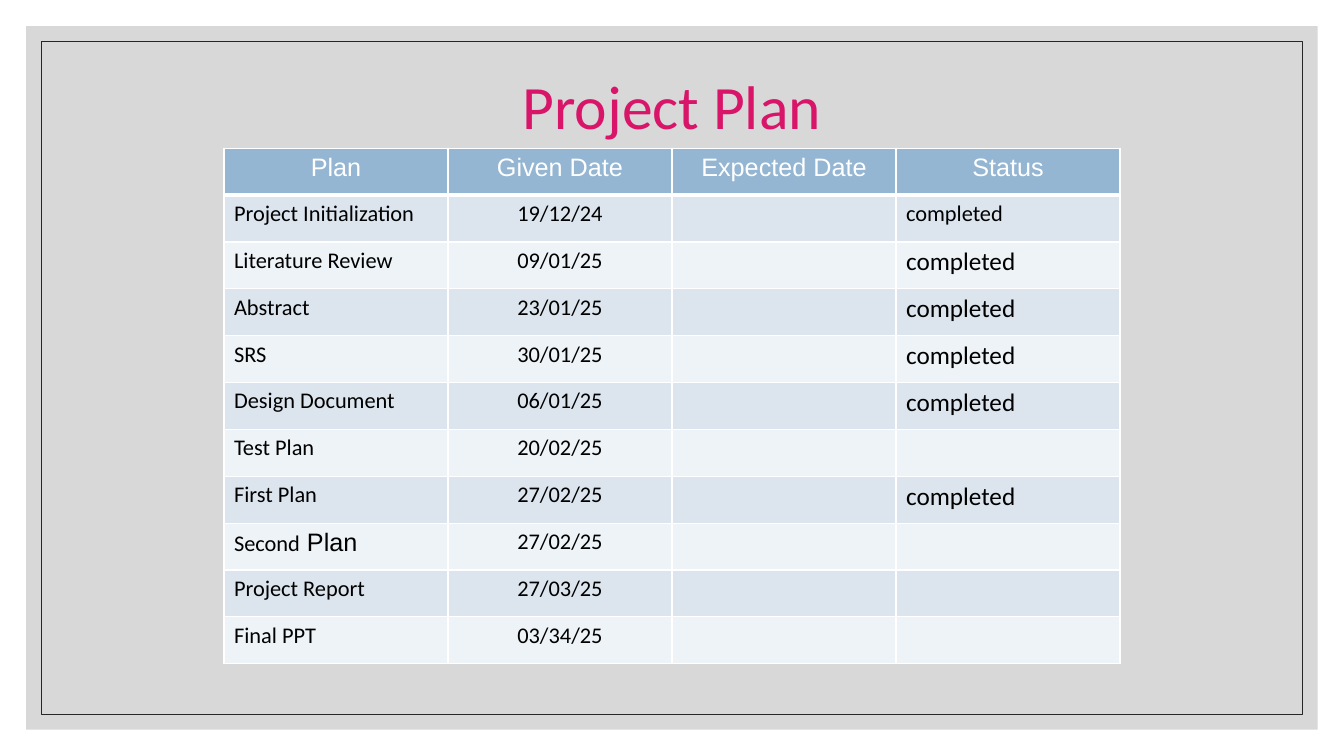
from lxml import etree
from pptx import Presentation
from pptx import util as u
from pptx.dml.color import RGBColor
from pptx.enum import shapes, text
from pptx.oxml import ns

# Content: each cell is a list of runs (wording, size, font)
TITLE = "Project Plan"
HEADINGS = ["Plan", "Given Date", "Expected Date", "Status"]


def body(wording, size=16):
    return [(wording, size, "Calibri")] if wording else []


DONE = "completed"
PLANS = [  # plan, given date, status, status size
    (body("Project Initialization"), "19/12/24", DONE, 16),
    (body("Literature Review"), "09/01/25", DONE, 18),
    (body("Abstract"), "23/01/25", DONE, 18),
    (body("SRS"), "30/01/25", DONE, 18),
    (body("Design Document"), "06/01/25", DONE, 18),
    (body("Test Plan"), "20/02/25", "", 18),
    (body("First Plan"), "27/02/25", DONE, 18),
    (body("Second") + [(" Plan", 18, "Arial")], "27/02/25", "", 18),
    (body("Project Report"), "27/03/25", "", 18),
    (body("Final PPT"), "03/34/25", "", 18),
]
ROWS = [[[(heading, 18, "Arial")] for heading in HEADINGS]]
ROWS += [[plan, body(date), [], body(status, size)]
         for plan, date, status, size in PLANS]

# Colours
WHITE = RGBColor(0xFF, 0xFF, 0xFF)
BLACK = RGBColor(0x00, 0x00, 0x00)
PANEL_GREY = RGBColor(0xBF, 0xBF, 0xBF)
FRAME_GREY = RGBColor(0x26, 0x26, 0x26)
PINK = RGBColor(0xD9, 0x15, 0x69)
HEADER_BLUE = RGBColor(0x94, 0xB6, 0xD2)
BANDS = [RGBColor(0xEE, 0xF3, 0xF7), RGBColor(0xDC, 0xE5, 0xEE)]

# Layout in inches
WIDTH, HEIGHT = 13.33, 7.5
PANEL_MARGIN, FRAME_MARGIN = 0.26, 0.41
TITLE_TOP, TITLE_WIDTH, TITLE_HEIGHT = 0.7, 11, 0.77
TABLE_TOP, TABLE_WIDTH, ROW_HEIGHT = 1.47, WIDTH * 2 / 3, 0.465
HEADER_BORDERS = {"a:lnL": 1, "a:lnR": 1, "a:lnT": 1, "a:lnB": 3}


def add_backdrop(slide, margin):
    shape = slide.shapes.add_shape(
        shapes.MSO_SHAPE.RECTANGLE, u.Inches(margin), u.Inches(margin),
        u.Inches(WIDTH - 2 * margin), u.Inches(HEIGHT - 2 * margin))
    shape.shadow.inherit = False
    return shape


def add_runs(paragraph, runs, color):
    for wording, size, font in runs:
        run = paragraph.add_run()
        run.text = wording
        run.font.size = u.Pt(size)
        run.font.name = font
        run.font.bold = False
        run.font.color.rgb = color


def set_borders(cell, borders):
    properties = cell._tc.get_or_add_tcPr()
    for index, (side, points) in enumerate(borders.items()):
        line = etree.Element(ns.qn(side), w=str(u.Pt(points)))
        fill = etree.SubElement(line, ns.qn("a:solidFill"))
        etree.SubElement(fill, ns.qn("a:srgbClr"), val=str(WHITE))
        properties.insert(index, line)


def main():
    presentation = Presentation()
    presentation.slide_width = u.Inches(WIDTH)
    presentation.slide_height = u.Inches(HEIGHT)
    slide = presentation.slides.add_slide(presentation.slide_layouts[5])
    slide.background.fill.solid()
    slide.background.fill.fore_color.rgb = WHITE

    # Translucent panel and thin frame
    panel = add_backdrop(slide, PANEL_MARGIN)
    panel.fill.solid()
    panel.fill.fore_color.rgb = PANEL_GREY
    panel.line.fill.background()
    color = panel.fill._xPr.find(".//" + ns.qn("a:srgbClr"))
    etree.SubElement(color, ns.qn("a:alpha"), val="60000")
    frame = add_backdrop(slide, FRAME_MARGIN)
    frame.fill.background()
    frame.line.color.rgb = FRAME_GREY
    frame.line.width = u.Pt(0.5)

    # Title, brought in front of the panel
    title = slide.shapes.title
    slide.shapes.element.append(title.element)
    title.left, title.top = u.Inches((WIDTH - TITLE_WIDTH) / 2), u.Inches(TITLE_TOP)
    title.width, title.height = u.Inches(TITLE_WIDTH), u.Inches(TITLE_HEIGHT)
    frame_text = title.text_frame
    frame_text.margin_left = frame_text.margin_right = 0
    frame_text.margin_top = frame_text.margin_bottom = 0
    frame_text.vertical_anchor = text.MSO_ANCHOR.MIDDLE
    frame_text.auto_size = text.MSO_AUTO_SIZE.NONE
    paragraph = frame_text.paragraphs[0]
    paragraph.alignment = text.PP_ALIGN.CENTER
    paragraph.line_spacing = 0.9
    add_runs(paragraph, [(TITLE, 44, "Calibri")], PINK)

    # Plan table
    table = slide.shapes.add_table(
        len(ROWS), len(HEADINGS), u.Inches((WIDTH - TABLE_WIDTH) / 2),
        u.Inches(TABLE_TOP), u.Inches(TABLE_WIDTH),
        u.Inches(ROW_HEIGHT * len(ROWS))).table
    for row_index, row in enumerate(ROWS):
        is_header = row_index == 0
        for column_index, runs in enumerate(row):
            cell = table.cell(row_index, column_index)
            cell.fill.solid()
            cell.fill.fore_color.rgb = HEADER_BLUE if is_header else BANDS[row_index % 2]
            if is_header:
                set_borders(cell, HEADER_BORDERS)
            paragraph = cell.text_frame.paragraphs[0]
            if is_header or column_index == 1:
                paragraph.alignment = text.PP_ALIGN.CENTER
            add_runs(paragraph, runs, WHITE if is_header else BLACK)

    presentation.save("out.pptx")


if __name__ == "__main__":
    main()
